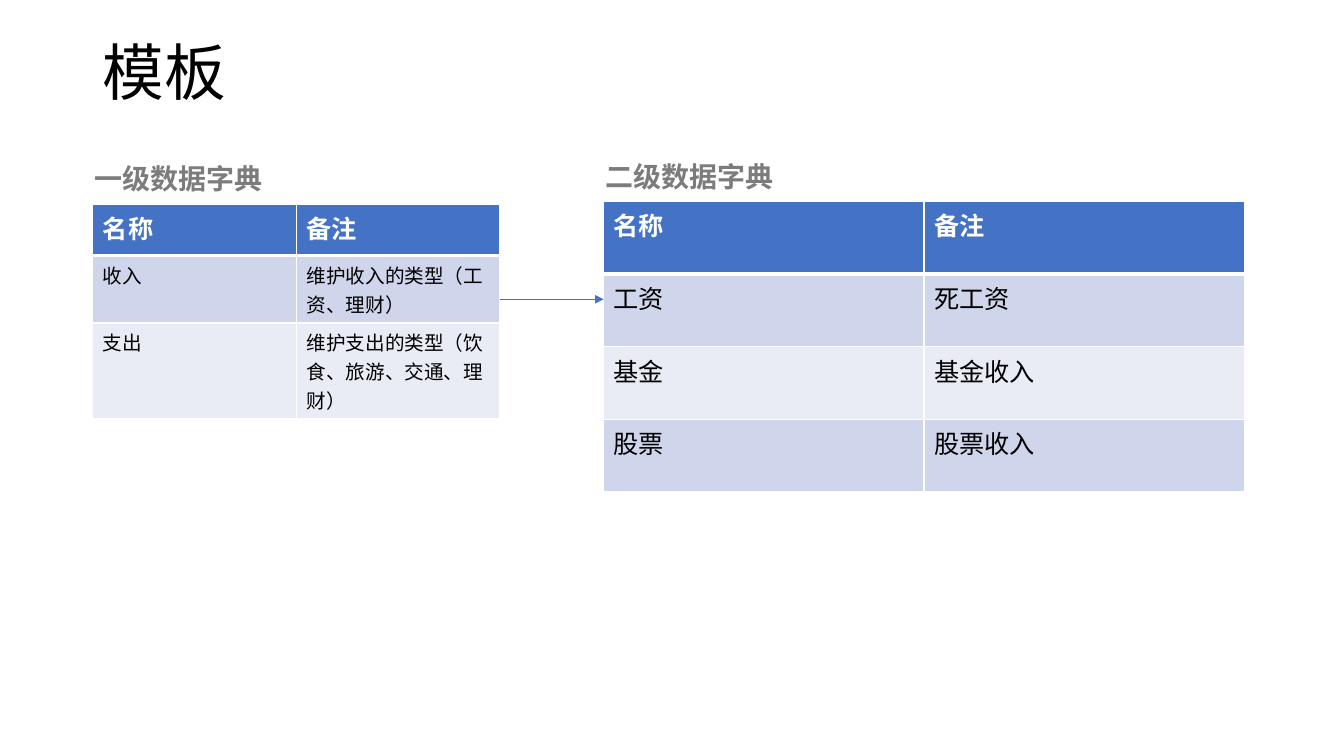
from lxml import etree
from pptx import Presentation
from pptx.dml.color import RGBColor
from pptx.enum.shapes import MSO_CONNECTOR
from pptx.enum.text import MSO_ANCHOR
from pptx.oxml.ns import qn
from pptx.util import Cm, Pt

STRAIGHT = MSO_CONNECTOR.STRAIGHT
MIDDLE, TOP = MSO_ANCHOR.MIDDLE, MSO_ANCHOR.TOP
FONT = "Noto Sans CJK SC"
WHITE, BLACK, BLUE, GREY = "FFFFFF", "000000", "4472C4", "7C7C7C"
BANDS = ("CFD5EA", "E9EBF5")

TITLE_BOX = (2.34, 0.68, 29.21, 2.46)
LEVEL_ONE_BOX = (2.34, 5.14, 10.26)
LEVEL_TWO_BOX = (15.21, 5.08, 16.15)
LEVEL_ONE_HEIGHTS = [1.3, 1.7, 2.42]
LEVEL_TWO_HEIGHTS = [1.83] * 4
ARROW_Y = 7.54

LEVEL_ONE_ROWS = [
    ("名称", "备注"),
    ("收入", "维护收入的类型（工资、理财）"),
    ("支出", "维护支出的类型（饮食、旅游、交通、理财）"),
]
LEVEL_TWO_ROWS = [
    ("名称", "备注"),
    ("工资", "死工资"),
    ("基金", "基金收入"),
    ("股票", "股票收入"),
]


def color(value):
    """Return the colour for a hex string."""
    return RGBColor.from_string(value)


def write(frame, text, size, hex_color, bold=False):
    """Put one formatted span of text into a frame."""
    para = frame.paragraphs[0]
    span = para.add_run()
    span.text = text
    for name, value in {"name": FONT, "size": Pt(size), "bold": bold}.items():
        setattr(span.font, name, value)
    span.font.color.rgb = color(hex_color)
    etree.SubElement(span.font._element, qn("a:ea"), typeface=FONT)
    return para


def add_text(page, box, text, size, hex_color, bold=False, wrap=True, anchor=TOP):
    """Add a text box and return its paragraph."""
    frame = page.shapes.add_textbox(*map(Cm, box)).text_frame
    for name, value in {"word_wrap": wrap, "vertical_anchor": anchor}.items():
        setattr(frame, name, value)
    return write(frame, text, size, hex_color, bold)


def add_borders(cell, bottom):
    """Draw white cell borders with the given bottom width in points."""
    properties = cell._tc.get_or_add_tcPr()
    for side, width in {"L": 1, "R": 1, "T": 1, "B": bottom}.items():
        line = etree.SubElement(properties, qn(f"a:ln{side}"), w=str(Pt(width)))
        fill = etree.SubElement(line, qn("a:solidFill"))
        etree.SubElement(fill, qn("a:srgbClr"), val=WHITE)


def add_dictionary(page, box, heading, rows, heights, body_size):
    """Add a headed dictionary table at the given left, top and width."""
    left, top, width = box
    add_text(page, (left - 0.2, top - 1.19, 4.78, 1.12), heading, 20, GREY, True, False)
    table = page.shapes.add_table(
        len(rows), len(rows[0]), Cm(left), Cm(top), Cm(width), Cm(sum(heights))
    ).table
    for column in table.columns:
        column.width = Cm(width / len(rows[0]))
    for index, (texts, height) in enumerate(zip(rows, heights)):
        header = index == 0
        table.rows[index].height = Cm(height)
        for cell, text in zip(table.rows[index].cells, texts):
            add_borders(cell, 3 if header else 1)
            cell.fill.solid()
            cell.fill.fore_color.rgb = color(BLUE if header else BANDS[(index - 1) % 2])
            write(cell.text_frame, text, 18 if header else body_size,
                  WHITE if header else BLACK, header)


def add_arrow(page, start, end, y):
    """Add a thin horizontal arrow between two positions."""
    arrow = page.shapes.add_connector(STRAIGHT, Cm(start), Cm(y), Cm(end), Cm(y))
    arrow.line.width = Pt(0.5)
    arrow.line.color.rgb = color(BLUE)
    etree.SubElement(arrow.line._get_or_add_ln(), qn("a:tailEnd"), type="triangle")
    etree.SubElement(arrow._element.spPr, qn("a:effectLst"))


def build_page(page):
    """Place the title, both dictionaries and the arrow joining them."""
    title = add_text(page, TITLE_BOX, "模板", 44, BLACK, anchor=MIDDLE)
    title.line_spacing = 0.9
    add_dictionary(page, LEVEL_ONE_BOX, "一级数据字典", LEVEL_ONE_ROWS, LEVEL_ONE_HEIGHTS, 14)
    add_dictionary(page, LEVEL_TWO_BOX, "二级数据字典", LEVEL_TWO_ROWS, LEVEL_TWO_HEIGHTS, 18)
    add_arrow(page, LEVEL_ONE_BOX[0] + LEVEL_ONE_BOX[2], LEVEL_TWO_BOX[0], ARROW_Y)


deck = Presentation()
deck.slide_width, deck.slide_height = Cm(33.87), Cm(19.05)
build_page(deck.slides.add_slide(deck.slide_layouts[6]))
deck.save("out.pptx")
